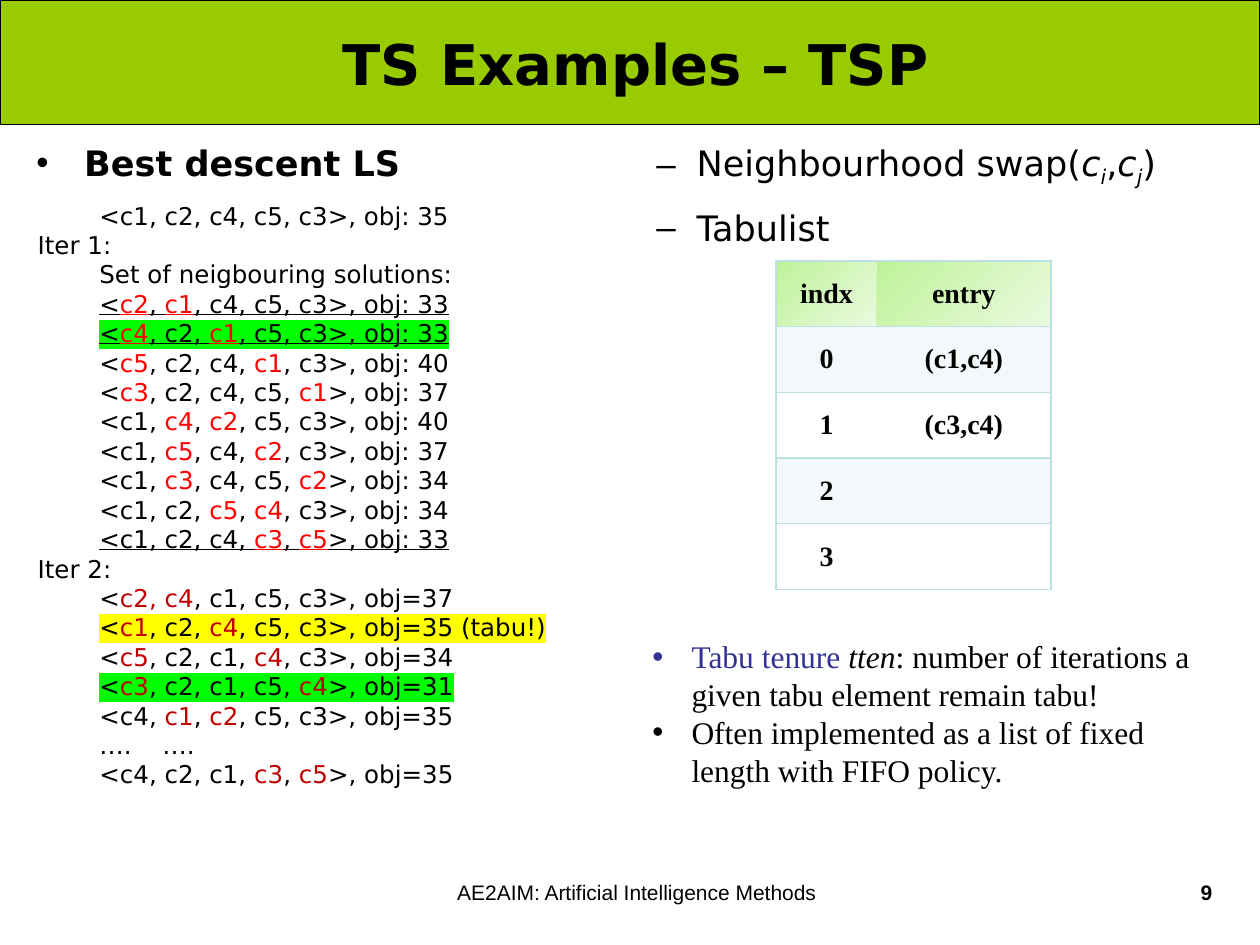
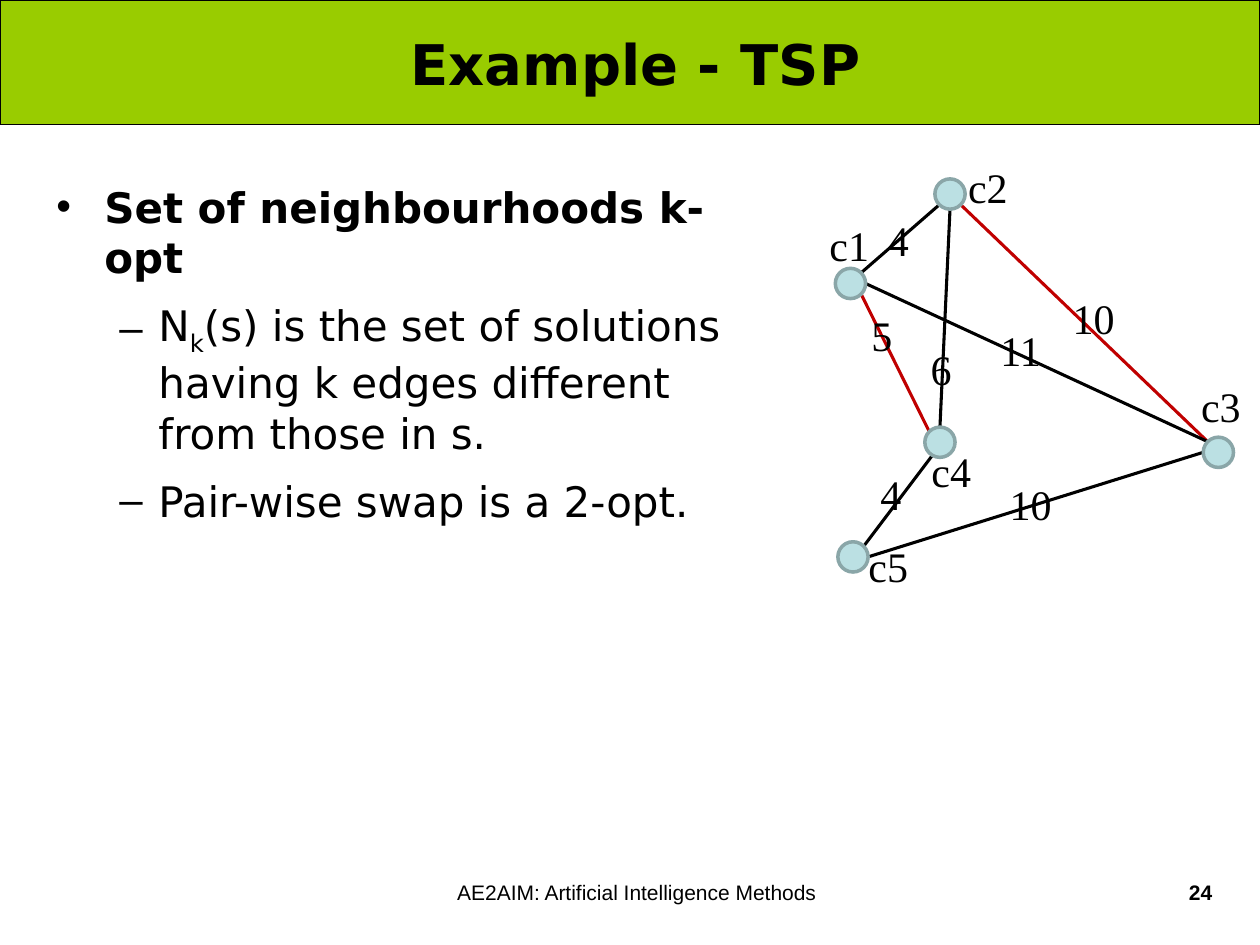
from dataclasses import dataclass
from math import cos, radians, sin

from lxml.etree import SubElement
from pptx import Presentation
from pptx.dml.color import RGBColor
from pptx.enum.shapes import MSO_CONNECTOR, MSO_SHAPE
from pptx.enum.text import MSO_ANCHOR, MSO_AUTO_SIZE, PP_ALIGN
from pptx.oxml.ns import qn
from pptx.util import Inches, Pt

BLACK = RGBColor(0x00, 0x00, 0x00)
WHITE = RGBColor(0xFF, 0xFF, 0xFF)
BAND_GREEN = RGBColor(0x99, 0xCC, 0x00)
RED = RGBColor(0xFF, 0x00, 0x00)
DARK_RED = RGBColor(0xC0, 0x00, 0x00)
INDIGO = RGBColor(0x32, 0x32, 0x96)
MARK_GREEN = RGBColor(0x00, 0xFF, 0x00)
MARK_YELLOW = RGBColor(0xFF, 0xFF, 0x00)
PALE_BLUE = RGBColor(0xBB, 0xE0, 0xE3)
NODE_EDGE = RGBColor(0x8A, 0xA6, 0xA8)
ROW_TINT = RGBColor(0xF3, 0xF9, 0xFA)
HEAD_DARK = RGBColor(0xBE, 0xF2, 0x97)
HEAD_LIGHT = RGBColor(0xEA, 0xFA, 0xE0)

SANS = "DejaVu Sans"
SERIF = "Times New Roman"
FOOTER_FONT = "Arial"
FOOTER = "AE2AIM: Artificial Intelligence Methods"
PLAIN_TABLE = "{2D5ABB26-0587-4C30-8999-92F81FD0307C}"

WIDTH, HEIGHT = Inches(10), Inches(7.5)
COLUMN, ROW = WIDTH // 100, HEIGHT // 75
NODE_SIZE = 2.4


@dataclass
class Box:
    left: float
    top: float
    width: float
    height: float

    def inside(self, left, top, width, height):
        return Box(self.left + left, self.top + top, width, height)

    def around(self, centre, width, height):
        return self.inside(centre[0] - width / 2, centre[1] - height / 2, width, height)

    def place(self):
        return (round(self.left * COLUMN), round(self.top * ROW),
                round(self.width * COLUMN), round(self.height * ROW))


PAGE = Box(0, 0, 100, 75)


def add_text_box(page, box, wrap=True):
    frame = page.shapes.add_textbox(*box.place()).text_frame
    frame.word_wrap = wrap
    frame.auto_size = MSO_AUTO_SIZE.NONE
    return frame


def next_para(frame):
    para = frame.paragraphs[0]
    return frame.add_paragraph() if para.runs else para


def set_indent(para, margin, hanging=0, bullet=None):
    props = para._p.get_or_add_pPr()
    props.set("marL", str(Inches(margin)))
    props.set("indent", str(-Inches(hanging)))
    if bullet:
        SubElement(props, qn("a:buFont")).set("typeface", FOOTER_FONT)
        SubElement(props, qn("a:buChar")).set("char", bullet)


def highlight(span, colour):
    props = span._r.get_or_add_rPr()
    mark = SubElement(props, qn("a:highlight"))
    SubElement(mark, qn("a:srgbClr")).set("val", str(colour))
    props.find(qn("a:solidFill")).addnext(mark)


def add_span(para, text, name, size, colour=BLACK, bold=False,
             italic=False, underline=False, mark=None, sub=False):
    span = para.add_run()
    span.text = text
    font = span.font
    font.name, font.size, font.bold, font.italic = name, Pt(size), bold, italic
    font.underline = underline
    font.color.rgb = colour
    if mark:
        highlight(span, mark)
    if sub:
        span._r.get_or_add_rPr().set("baseline", "-25000")


def add_bullet(frame, parts, name, size, margin, hanging, bullet, before=10):
    para = next_para(frame)
    para.space_before = Pt(before)
    set_indent(para, margin, hanging, bullet)
    for text, style in parts:
        add_span(para, text, name, size, **style)


def add_label(page, box, text, name, size, align, bold=False, wrap=True):
    para = add_text_box(page, box, wrap).paragraphs[0]
    para.alignment = align
    add_span(para, text, name, size, bold=bold)


def style_shape(shape, fill, line, weight):
    shape.shadow.inherit = False
    shape.fill.solid()
    shape.fill.fore_color.rgb = fill
    shape.line.color.rgb = line
    shape.line.width = Pt(weight)


def add_page(deck, heading, number):
    page = deck.slides.add_slide(deck.slide_layouts[5])
    title = page.shapes.title
    band = page.shapes.add_shape(MSO_SHAPE.RECTANGLE, *PAGE.inside(0, 0, 100, 9.9).place())
    style_shape(band, BAND_GREEN, BLACK, 0.75)
    title.element.addprevious(band.element)
    title.left, title.top, title.width, title.height = PAGE.inside(2.8, 0.8, 95.3, 8.4).place()
    frame = title.text_frame
    frame.auto_size = MSO_AUTO_SIZE.NONE
    frame.vertical_anchor = MSO_ANCHOR.MIDDLE
    frame.paragraphs[0].alignment = PP_ALIGN.CENTER
    add_span(frame.paragraphs[0], heading, SANS, 32, bold=True)
    add_label(page, PAGE.inside(23, 69.3, 55.1, 5.2), FOOTER, FOOTER_FONT, 12, PP_ALIGN.CENTER)
    add_label(page, PAGE.inside(86.2, 69.3, 11, 5.2), number, FOOTER_FONT, 12,
              PP_ALIGN.RIGHT, bold=True)
    return page


def add_solutions(frame, lines, accent):
    for text, style in lines:
        para = next_para(frame)
        set_indent(para, 0.5)
        for index, piece in enumerate(text.split("|")):
            add_span(para, piece, SANS, 14, accent if index % 2 else BLACK, **style)


def add_descent(page, box):
    plain, under = {}, {"underline": True}
    chosen = {"mark": MARK_GREEN}
    first_iteration = [
        ("Set of neigbouring solutions:", plain),
        ("<|c2|, |c1|, c4, c5, c3>, obj: 33", under),
        ("<|c4|, c2, |c1|, c5, c3>, obj: 33", under | chosen),
        ("<|c5|, c2, c4, |c1|, c3>, obj: 40", plain),
        ("<|c3|, c2, c4, c5, |c1|>, obj: 37", plain),
        ("<c1, |c4|, |c2|, c5, c3>, obj: 40", plain),
        ("<c1, |c5|, c4, |c2|, c3>, obj: 37", plain),
        ("<c1, |c3|, c4, c5, |c2|>, obj: 34", plain),
        ("<c1, c2, |c5|, |c4|, c3>, obj: 34", plain),
        ("<c1, c2, c4, |c3|, |c5|>, obj: 33", under),
    ]
    second_iteration = [
        ("<|c2, c4|, c1, c5, c3>, obj=37", plain),
        ("<|c1|, c2, |c4|, c5, c3>, obj=35 (tabu!)", {"mark": MARK_YELLOW}),
        ("<|c5|, c2, c1, |c4|, c3>, obj=34", plain),
        ("<|c3|, c2, c1, c5, |c4|>, obj=31", chosen),
        ("<c4, |c1|, |c2|, c5, c3>, obj=35", plain),
        ("….\t….", plain),
        ("<c4, c2, c1, |c3|, |c5|>, obj=35", plain),
    ]
    frame = add_text_box(page, box)
    add_bullet(frame, [("Best descent LS", {"bold": True})], SANS, 20, 0.38, 0.38, "•")
    add_solutions(frame, [("<c1, c2, c4, c5, c3>, obj: 35", plain)], RED)
    frame.paragraphs[-1].space_before = Pt(10)
    for name, lines, accent in (("Iter 1:", first_iteration, RED),
                                ("Iter 2:", second_iteration, DARK_RED)):
        para = next_para(frame)
        set_indent(para, 0.01)
        add_span(para, name, SANS, 14)
        add_solutions(frame, lines, accent)


def add_neighbourhood(page, box):
    frame = add_text_box(page, box)
    italic, sub = {"italic": True}, {"italic": True, "sub": True}
    swap = [("Neighbourhood swap(", {}), ("c", italic), ("i", sub), (",", {}),
            ("c", italic), ("j", sub), (")", {})]
    for parts in (swap, [("Tabulist", {})]):
        add_bullet(frame, parts, SANS, 20, 0.59, 0.32, "–")


def add_borders(cell, sides):
    props = cell._tc.get_or_add_tcPr()
    for index, side in enumerate(sides):
        line = SubElement(props, qn(f"a:ln{side}"), w=str(Pt(1)))
        fill = SubElement(line, qn("a:solidFill"))
        SubElement(fill, qn("a:srgbClr")).set("val", str(PALE_BLUE))
        props.insert(index, line)


def fill_cell(cell, row):
    if row == 0:
        cell.fill.gradient()
        cell.fill.gradient_angle = 315
        for stop, colour in zip(cell.fill.gradient_stops, (HEAD_DARK, HEAD_LIGHT)):
            stop.color.rgb = colour
    else:
        cell.fill.solid()
        cell.fill.fore_color.rgb = ROW_TINT if row % 2 else WHITE


def add_tabu_table(page, box):
    rows = [("indx", "entry"), ("0", "(c1,c4)"), ("1", "(c3,c4)"), ("2", ""), ("3", "")]
    holder = page.shapes.add_table(len(rows), 2, *box.place())
    holder.element.find(".//" + qn("a:tableStyleId")).text = PLAIN_TABLE
    table = holder.table
    for column, width in zip(table.columns, (8, 13.8)):
        column.width = round(width * COLUMN)
    for row, values in enumerate(rows):
        for column, value in enumerate(values):
            cell = table.cell(row, column)
            cell.vertical_anchor = MSO_ANCHOR.MIDDLE
            cell.margin_left = cell.margin_right = Inches(0.04)
            cell.margin_top = cell.margin_bottom = 0
            fill_cell(cell, row)
            add_borders(cell, "RTB" if column else "LTB")
            para = cell.text_frame.paragraphs[0]
            para.alignment = PP_ALIGN.CENTER
            if value:
                add_span(para, value, SERIF, 16, bold=True)


def add_tenure(page, box):
    frame = add_text_box(page, box)
    tenure = [("Tabu tenure ", {"colour": INDIGO}), ("tten", {"italic": True}),
              (": number of iterations a given tabu element remain tabu!", {})]
    policy = [("Often implemented as a list of fixed length with FIFO policy.", {})]
    for parts in (tenure, policy):
        add_bullet(frame, parts, SERIF, 18, 0.31, 0.31, "•", before=0)


def add_k_opt(page, box):
    frame = add_text_box(page, box)
    add_bullet(frame, [("Set of neighbourhoods k-opt", {"bold": True})],
               SANS, 24, 0.38, 0.38, "•")
    definition = [("N", {}), ("k", {"sub": True}),
                  ("(s) is the set of solutions having k edges different from those in s.", {})]
    for parts in (definition, [("Pair-wise swap is a 2-opt.", {})]):
        add_bullet(frame, parts, SANS, 24, 0.81, 0.31, "–")


def add_edge(page, box, ends, colour):
    points = []
    for (x, y), angle in ends:
        turn = radians(angle)
        rim = box.inside(x + NODE_SIZE / 2 * cos(turn), y + NODE_SIZE / 2 * sin(turn), 0, 0)
        points += rim.place()[:2]
    edge = page.shapes.add_connector(MSO_CONNECTOR.STRAIGHT, *points)
    edge.line.color.rgb = colour
    edge.line.width = Pt(1.75)
    SubElement(edge.element.spPr, qn("a:effectLst"))


def add_city_graph(page, box):
    cities = {"c1": ((3.5, 10.5), (3.4, 7.4)), "c2": ((11.4, 3.4), (14.4, 2.8)),
              "c3": ((32.7, 23.9), (32.9, 20.2)), "c4": ((10.6, 23.1), (11.5, 25.4)),
              "c5": ((3.7, 32.2), (6.5, 32.9))}
    edges = [("c2", 135, "c1", 315, BLACK, "4", (7.3, 7)),
             ("c2", 45, "c3", 225, DARK_RED, "10", (22.8, 13.2)),
             ("c1", 45, "c4", 225, DARK_RED, "5", (6, 14.6)),
             ("c3", 225, "c1", 0, BLACK, "11", (17, 15.8)),
             ("c2", 90, "c4", 270, BLACK, "6", (10.7, 17.3)),
             ("c4", 120, "c5", 315, BLACK, "4", (6.7, 27.2)),
             ("c5", 0, "c3", 180, BLACK, "10", (17.8, 28))]
    labels = [(name, spot) for name, (_, spot) in cities.items()]
    for start, leave, end, arrive, colour, weight, spot in edges:
        add_edge(page, box, ((cities[start][0], leave), (cities[end][0], arrive)), colour)
        labels.append((weight, spot))
    for centre, _ in cities.values():
        node = page.shapes.add_shape(MSO_SHAPE.OVAL,
                                     *box.around(centre, NODE_SIZE, NODE_SIZE).place())
        style_shape(node, PALE_BLUE, NODE_EDGE, 2)
    for text, spot in labels:
        add_label(page, box.around(spot, 5.4, 5), text, SERIF, 24, PP_ALIGN.CENTER, wrap=False)


def main():
    deck = Presentation()
    deck.slide_width, deck.slide_height = WIDTH, HEIGHT

    page = add_page(deck, "TS Examples – TSP", "9")
    add_neighbourhood(page, PAGE.inside(48.4, 10.7, 45.8, 10))
    add_tabu_table(page, PAGE.inside(61.6, 20.7, 21.8, 26.1))
    add_descent(page, PAGE.inside(1.9, 10.7, 48.1, 55.9))
    add_tenure(page, PAGE.inside(50.8, 50.1, 46.5, 13.1))

    page = add_page(deck, "Example - TSP", "24")
    add_k_opt(page, PAGE.inside(3.5, 13.9, 55, 52.7))
    add_city_graph(page, PAGE.inside(64, 12, 36, 36))
    deck.save("out.pptx")


if __name__ == "__main__":
    main()
